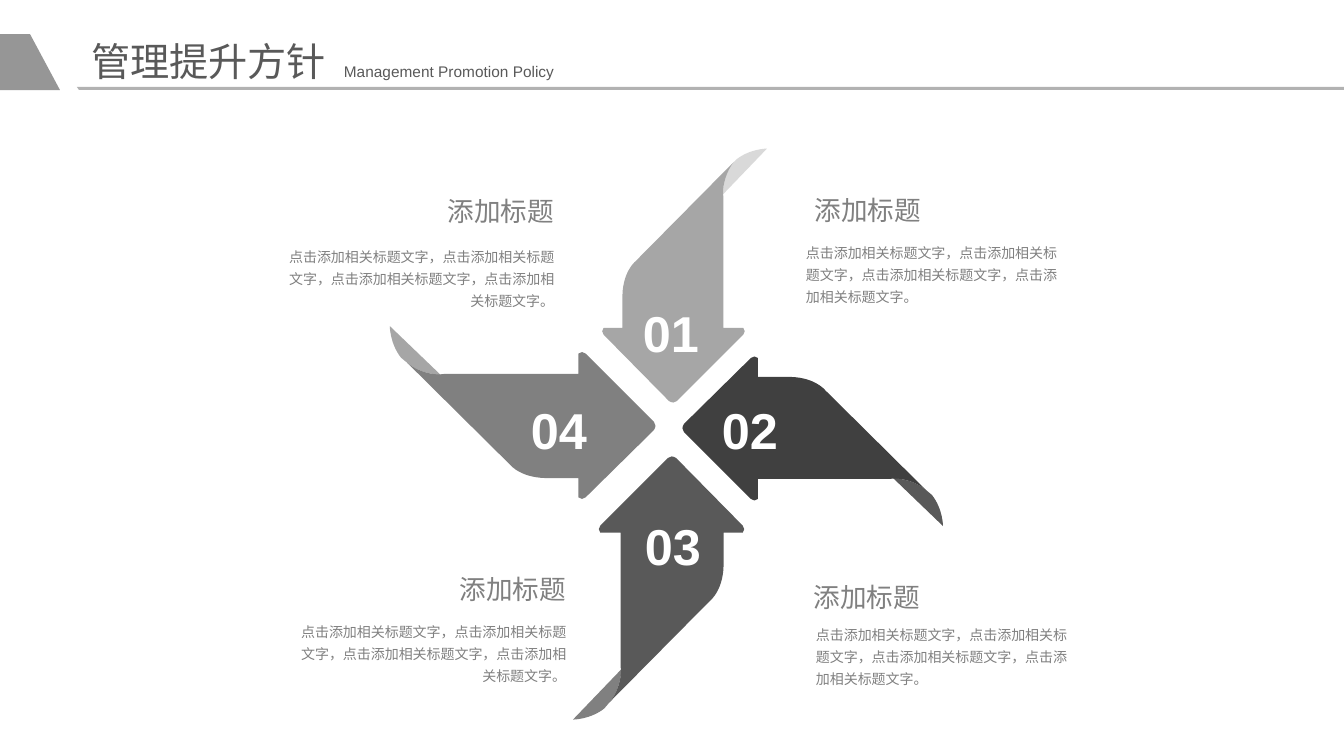
"""Build the management promotion policy slide with its four-blade pinwheel."""
from math import cos, radians, sin

from lxml import etree
from pptx import Presentation
from pptx.dml.color import RGBColor
from pptx.enum.text import MSO_ANCHOR, MSO_AUTO_SIZE, PP_ALIGN
from pptx.oxml.ns import qn
from pptx.util import Pt

LEFT, RIGHT = PP_ALIGN.LEFT, PP_ALIGN.RIGHT
TOP, FIXED = MSO_ANCHOR.TOP, MSO_AUTO_SIZE.NONE
PX = 914400 / 100.8
SLIDE_WIDTH, SLIDE_HEIGHT = 1344, 756
LATIN, CJK = "Arial", "Noto Sans CJK SC"

WHITE = RGBColor(0xFF, 0xFF, 0xFF)
PALE = RGBColor(0xD9, 0xD9, 0xD9)
RULE = RGBColor(0xB2, 0xB2, 0xB2)
LIGHT = RGBColor(0xA6, 0xA6, 0xA6)
TAB = RGBColor(0x96, 0x96, 0x96)
MID = RGBColor(0x80, 0x80, 0x80)
DARK = RGBColor(0x59, 0x59, 0x59)
BLACK = RGBColor(0x40, 0x40, 0x40)

TITLE = "管理提升方针"
SUBTITLE = "Management Promotion Policy"
HEADING = "添加标题"
BODY = "，".join(["点击添加相关标题文字"] * 4) + "。"

TITLE_BOX = (81, 32, 258, 57)
SUBTITLE_BOX = (334, 57, 336, 29)
NUMBER_SIZE = (77, 72)
HEADING_SIZE = (182, 42)
BODY_HEIGHT = 75

RULE_OUTLINE = [[(77, 87)], [(1344, 87)], [(1344, 90)], [(79, 90)]]
TAB_OUTLINE = [[(0, 34)], [(30, 34)], [(60, 90)], [(0, 90)]]

# Each step is one point (a line) or three points (a Bezier curve),
# measured outward from the blade's tip.
BLADE = [
    [(69, -70)], [(2, -4)], [(0, -1), (0, 2), (2, 4)], [(69, 71)],
    [(71, 73), (74, 73), (76, 71)], [(76, 51)], [(208, 51)],
    [(208, 51), (213, 50), (219, 51)], [(230, 53), (238, 57), (244, 62)],
    [(143, -38)], [(143, -38), (132, -52), (104, -51)], [(76, -51)],
    [(76, -70)], [(74, -72), (71, -72), (69, -70)],
]
FOLD = [
    [(210, 49)], [(261, 98)], [(261, 98), (261, 81), (250, 67)], [(244, 62)],
    [(238, 57), (230, 53), (219, 51)], [(216, 50), (213, 49), (210, 49)],
]

PINWHEEL = [
    dict(number="04", tip=(656, 426), turn=0, scale=-1.02, nudge=(0, 0),
         fill=MID, fold=LIGHT, number_at=(521, 394),
         heading_at=(382, 190), body_at=(270, 239), width=294, align=RIGHT),
    dict(number="02", tip=(682, 428), turn=0, scale=1, nudge=(0, 0),
         fill=BLACK, fold=DARK, number_at=(712, 394),
         heading_at=(804, 576), body_at=(806, 617), width=281, align=LEFT),
    dict(number="01", tip=(673, 403), turn=270, scale=0.99, nudge=(-4, -3),
         fill=LIGHT, fold=PALE, number_at=(633, 297),
         heading_at=(805, 189), body_at=(796, 235), width=281, align=LEFT),
    dict(number="03", tip=(672, 456), turn=90, scale=1.01, nudge=(0, 0),
         fill=DARK, fold=MID, number_at=(635, 510),
         heading_at=(394, 568), body_at=(282, 614), width=294, align=RIGHT),
]


def emu(length):
    return round(length * PX)


def draw_outline(page, steps, color):
    points = [(emu(x), emu(y)) for step in steps for x, y in step]
    builder = page.shapes.build_freeform(*points[0], scale=1.0)
    builder.add_line_segments(points[1:], close=True)
    shape = builder.convert_to_shape()
    lines = iter(list(shape._element.iter(qn("a:lnTo"))))
    for step in steps[1:]:
        segment = [next(lines) for _ in step]
        if len(segment) == 3:
            curve = etree.Element(qn("a:cubicBezTo"))
            segment[0].addprevious(curve)
            for line in segment:
                curve.append(line[0])
                line.getparent().remove(line)
    shape.shadow.inherit = False
    shape.fill.solid()
    shape.fill.fore_color.rgb = color
    shape.line.fill.background()
    return shape


def draw_blade_part(page, steps, color, tip, turn, scale, nudge=(0, 0)):
    sized = [[((u + nudge[0]) * scale, (v + nudge[1]) * scale) for u, v in step]
             for step in steps]
    shape = draw_outline(page, sized, color)
    u, v = shape.left + shape.width / 2, shape.top + shape.height / 2
    cosine, sine = cos(radians(turn)), sin(radians(turn))
    shape.left = round(emu(tip[0]) + u * cosine - v * sine - shape.width / 2)
    shape.top = round(emu(tip[1]) + u * sine + v * cosine - shape.height / 2)
    shape.rotation = turn


def write(box, frame, text, size, color, font=LATIN, bold=False,
          align=LEFT, spacing=1.0, wrap=True):
    box.left, box.top, box.width, box.height = map(emu, frame)
    text_frame = box.text_frame
    layout = dict(word_wrap=wrap, auto_size=FIXED, vertical_anchor=TOP,
                  margin_left=91440, margin_right=91440,
                  margin_top=45720, margin_bottom=45720)
    for name, value in layout.items():
        setattr(text_frame, name, value)
    para = text_frame.paragraphs[0]
    para.alignment, para.line_spacing = align, spacing
    span = para.add_run()
    span.text = text
    for name, value in dict(name=font, size=Pt(size), bold=bold).items():
        setattr(span.font, name, value)
    span.font.color.rgb = color
    etree.SubElement(span._r.get_or_add_rPr(), qn("a:ea"), typeface=CJK)


def add_text(page, frame, *args, **formats):
    write(page.shapes.add_textbox(0, 0, 0, 0), frame, *args, **formats)


def main():
    deck = Presentation()
    deck.slide_width, deck.slide_height = emu(SLIDE_WIDTH), emu(SLIDE_HEIGHT)
    page = deck.slides.add_slide(deck.slide_layouts[5])
    draw_outline(page, RULE_OUTLINE, RULE)
    draw_outline(page, TAB_OUTLINE, TAB)
    write(page.shapes.title, TITLE_BOX, TITLE, 28, DARK, font=CJK, wrap=False)
    add_text(page, SUBTITLE_BOX, SUBTITLE, 11, DARK)
    for blade in PINWHEEL:
        pose = blade["tip"], blade["turn"], blade["scale"]
        draw_blade_part(page, FOLD, blade["fold"], *pose, blade["nudge"])
        draw_blade_part(page, BLADE, blade["fill"], *pose)
    for blade in PINWHEEL:
        align = blade["align"]
        add_text(page, blade["number_at"] + NUMBER_SIZE, blade["number"], 36, WHITE,
                 bold=True, wrap=False)
        add_text(page, blade["heading_at"] + HEADING_SIZE, HEADING, 19, MID,
                 font=CJK, align=align)
        add_text(page, blade["body_at"] + (blade["width"], BODY_HEIGHT), BODY, 10, MID,
                 align=align, spacing=1.3)
    deck.save("out.pptx")


if __name__ == "__main__":
    main()
